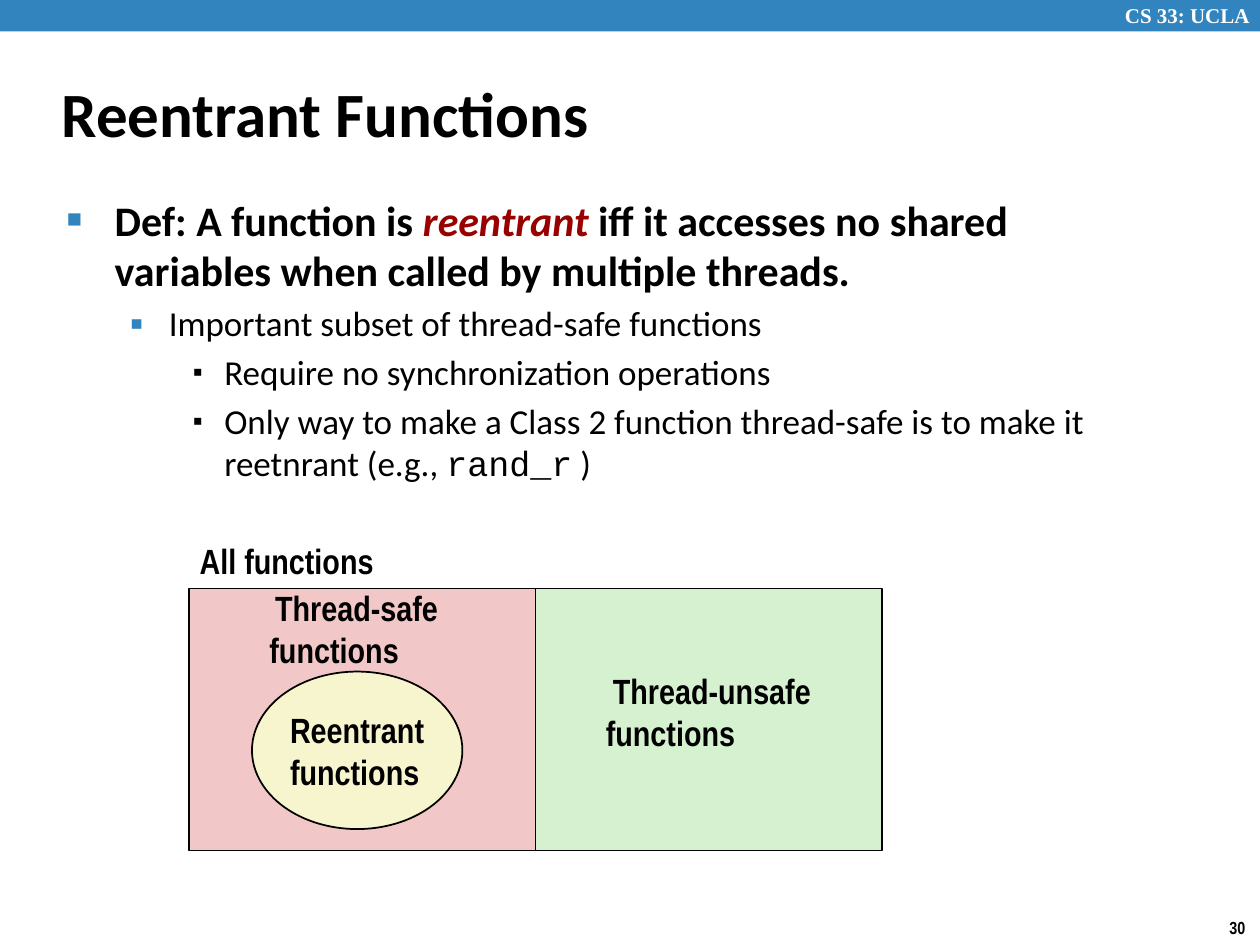
from dataclasses import dataclass

from lxml import etree
from pptx import Presentation
from pptx.dml.color import RGBColor
from pptx.enum import shapes, text
from pptx.oxml import ns
from pptx.util import Inches, Pt


@dataclass(frozen=True)
class Theme:
    blue: str = "3284BF"
    white: str = "FFFFFF"
    black: str = "000000"
    red: str = "990000"
    pink: str = "F1C7C7"
    green: str = "D5F1CF"
    cream: str = "F7F5CD"
    sans: str = "Calibri"
    narrow: str = "Arial Narrow"
    serif: str = "Times New Roman"
    mono: str = "Courier New"
    head: int = 36
    lead: int = 24
    item: int = 20
    brand: int = 12
    foot: int = 10


T = Theme()
LABEL = dict(name=T.narrow, size=T.item, bold=True)
MID = text.MSO_ANCHOR.MIDDLE
FIT = text.MSO_AUTO_SIZE.SHAPE_TO_FIT_TEXT


def box(*sides):
    return [Inches(side) for side in sides]


def place(shape, area):
    for key, val in zip(("left", "top", "width", "height"), area):
        setattr(shape, key, val)


def add_run(para, words, color=T.black, size=T.item, **form):
    run = para.add_run()
    run.text = words
    run.font.color.rgb = RGBColor.from_string(color)
    for key, val in dict(form, size=Pt(size)).items():
        setattr(run.font, key, val)


def set_frame(frame, **form):
    for key, val in form.items():
        setattr(frame, key, val)


def set_lines(frame, lines, align=None, **form):
    """Write one paragraph a line; align applies to the first."""
    for i, line in enumerate(lines):
        para = frame.paragraphs[0] if i == 0 else frame.add_paragraph()
        para.alignment = align if i == 0 else text.PP_ALIGN.LEFT
        add_run(para, line, **form)


def add_label(slide, area, *lines, align=text.PP_ALIGN.CENTER, wrap=False,
              anchor=MID, **form):
    frame = slide.shapes.add_textbox(*area).text_frame
    set_frame(frame, word_wrap=wrap, auto_size=FIT, vertical_anchor=anchor)
    set_lines(frame, lines, align, **form)


def add_form(slide, kind, area, fill, edge=T.black):
    shape = slide.shapes.add_shape(kind, *area)
    shape.shadow.inherit = False
    shape.fill.solid()
    shape.fill.fore_color.rgb = RGBColor.from_string(fill)
    if edge:
        shape.line.color.rgb = RGBColor.from_string(edge)
        shape.line.width = Pt(1)
    else:
        shape.line.fill.background()
    return shape


def set_bullet(para, mark, scale, color, left, hang):
    props = para._p.get_or_add_pPr()
    props.set("marL", str(Inches(left)))
    props.set("indent", str(-Inches(hang)))
    tint = etree.SubElement(props, ns.qn("a:buClr"))
    etree.SubElement(tint, ns.qn("a:srgbClr"), val=color)
    etree.SubElement(props, ns.qn("a:buSzPct"), val=str(scale * 1000))
    etree.SubElement(props, ns.qn("a:buChar"), char=mark)


# Blue band with course name, and page number
def add_band(slide, area):
    left, top, width, height = area
    add_form(slide, shapes.MSO_SHAPE.RECTANGLE, area, T.blue, edge=None)
    plain = dict(align=text.PP_ALIGN.LEFT, anchor=text.MSO_ANCHOR.TOP, bold=True)
    add_label(slide, [left + Inches(8.83), top - Inches(0.03), *box(1.24, 0.3)],
              "CS 33: UCLA", wrap=True, name=T.serif, size=T.brand,
              color=T.white, **plain)
    add_label(slide, box(9.66, 7.23, 0.34, 0.27), "30",
              name=T.narrow, size=T.foot, **plain)


def add_title(slide, area):
    title = slide.shapes.title
    place(title, area)
    set_frame(title.text_frame, vertical_anchor=MID, word_wrap=True,
              auto_size=text.MSO_AUTO_SIZE.NONE)
    set_lines(title.text_frame, ["Reentrant Functions"], text.PP_ALIGN.LEFT,
              name=T.sans, size=T.head, bold=True)


# Definition and its nested points
def add_body(slide, area):
    body = slide.placeholders[1]
    place(body, area)
    frame = body.text_frame
    set_frame(frame, auto_size=text.MSO_AUTO_SIZE.NONE, word_wrap=True)
    marks = [("■", 60, T.blue, 0.38, 0.38),
             ("▪", 110, T.blue, 0.81, 0.31),
             ("▪", 80, T.black, 1.25, 0.25)]
    lead = dict(name=T.sans, size=T.lead, bold=True)
    item = dict(name=T.sans, bold=False)
    points = [
        (0, [("Def: A function is ", lead),
             ("reentrant ", dict(lead, color=T.red, italic=True)),
             ("iff it accesses no shared variables when called by "
              "multiple threads.", lead)]),
        (1, [("Important subset of thread-safe functions", item)]),
        (2, [("Require no synchronization operations", item)]),
        (2, [("Only way to make a Class 2 function thread-safe is to make it "
              "reetnrant (e.g., ", item),
             ("rand_r", dict(item, name=T.mono)), (" )", item)]),
    ]
    for i, (level, runs) in enumerate(points):
        para = frame.paragraphs[0] if i == 0 else frame.add_paragraph()
        para.level = level
        set_bullet(para, *marks[level])
        para.space_before = Pt(4 if i else 0)
        for words, form in runs:
            add_run(para, words, **form)


# Two halves of all functions, with the reentrant subset
def add_sets(slide, area):
    left, top, width, height = area
    half = width // 2
    for i, fill in enumerate((T.pink, T.green)):
        add_form(slide, shapes.MSO_SHAPE.RECTANGLE,
                 [left + i * half, top, half, height], fill)
    oval = add_form(slide, shapes.MSO_SHAPE.OVAL,
                    [left + Inches(0.5), top + Inches(0.66), *box(1.67, 1.25)],
                    T.cream)
    set_frame(oval.text_frame, word_wrap=False, vertical_anchor=MID)
    set_lines(oval.text_frame, ["Reentrant", "functions"],
              text.PP_ALIGN.CENTER, **LABEL)
    labels = [(-0.06, -0.44, 1.67, 0.44, ["All functions"]),
              (0.54, -0.07, 1.58, 0.77, ["Thread-safe", "functions"]),
              (3.21, 0.59, 1.88, 0.77, ["Thread-unsafe", "functions"])]
    for x, y, wide, high, lines in labels:
        add_label(slide, [left + Inches(x), top + Inches(y), *box(wide, high)],
                  *lines, **LABEL)


def main():
    deck = Presentation()
    deck.slide_width, deck.slide_height = box(10, 7.5)
    slide = deck.slides.add_slide(deck.slide_layouts[1])
    add_band(slide, box(0, 0, 10, 0.25))
    add_title(slide, box(0.39, 0.48, 8.3, 0.83))
    add_body(slide, box(0.43, 1.49, 8.64, 2.57))
    add_sets(slide, box(1.5, 4.67, 5.5, 2.08))
    deck.save("out.pptx")


if __name__ == "__main__":
    main()
